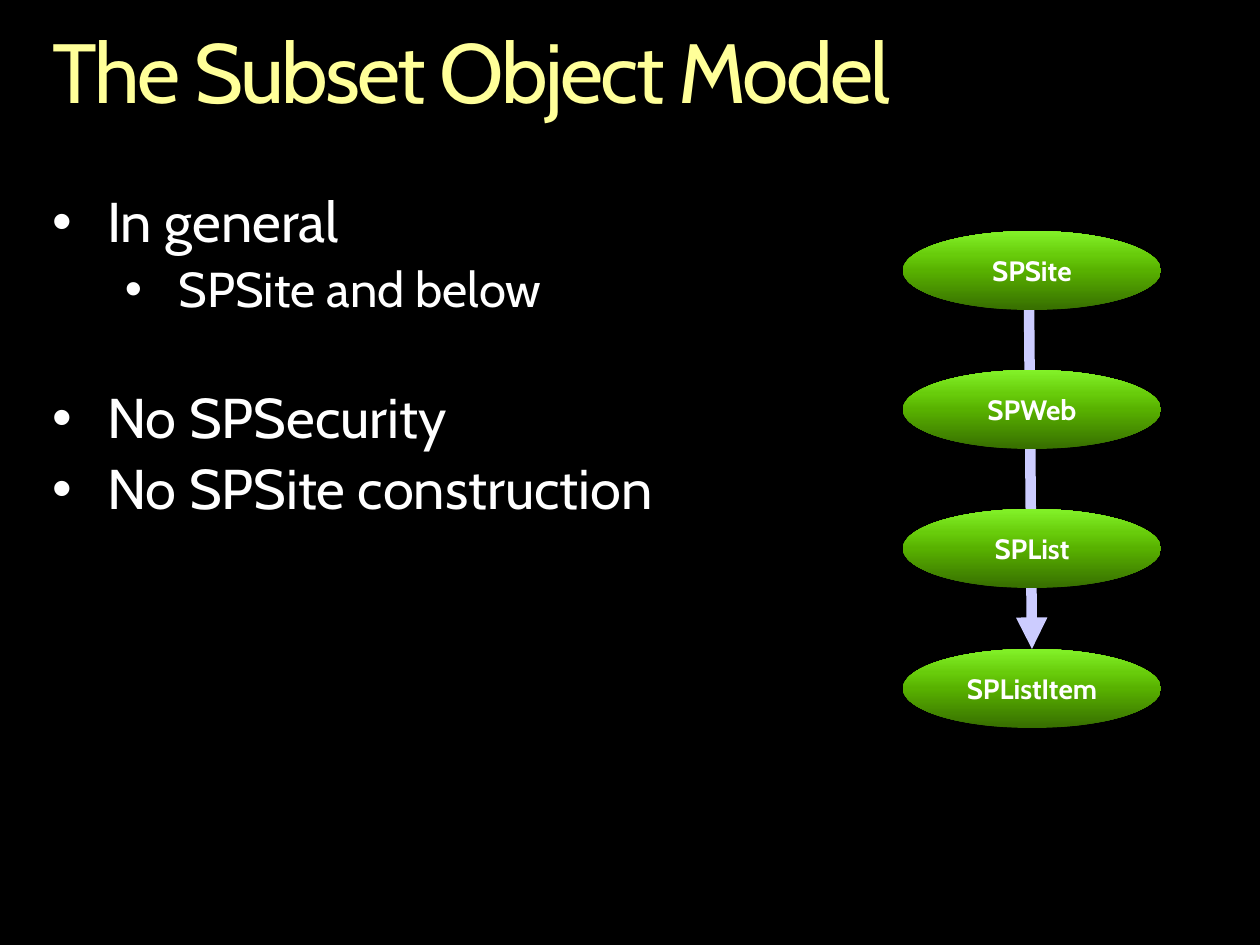
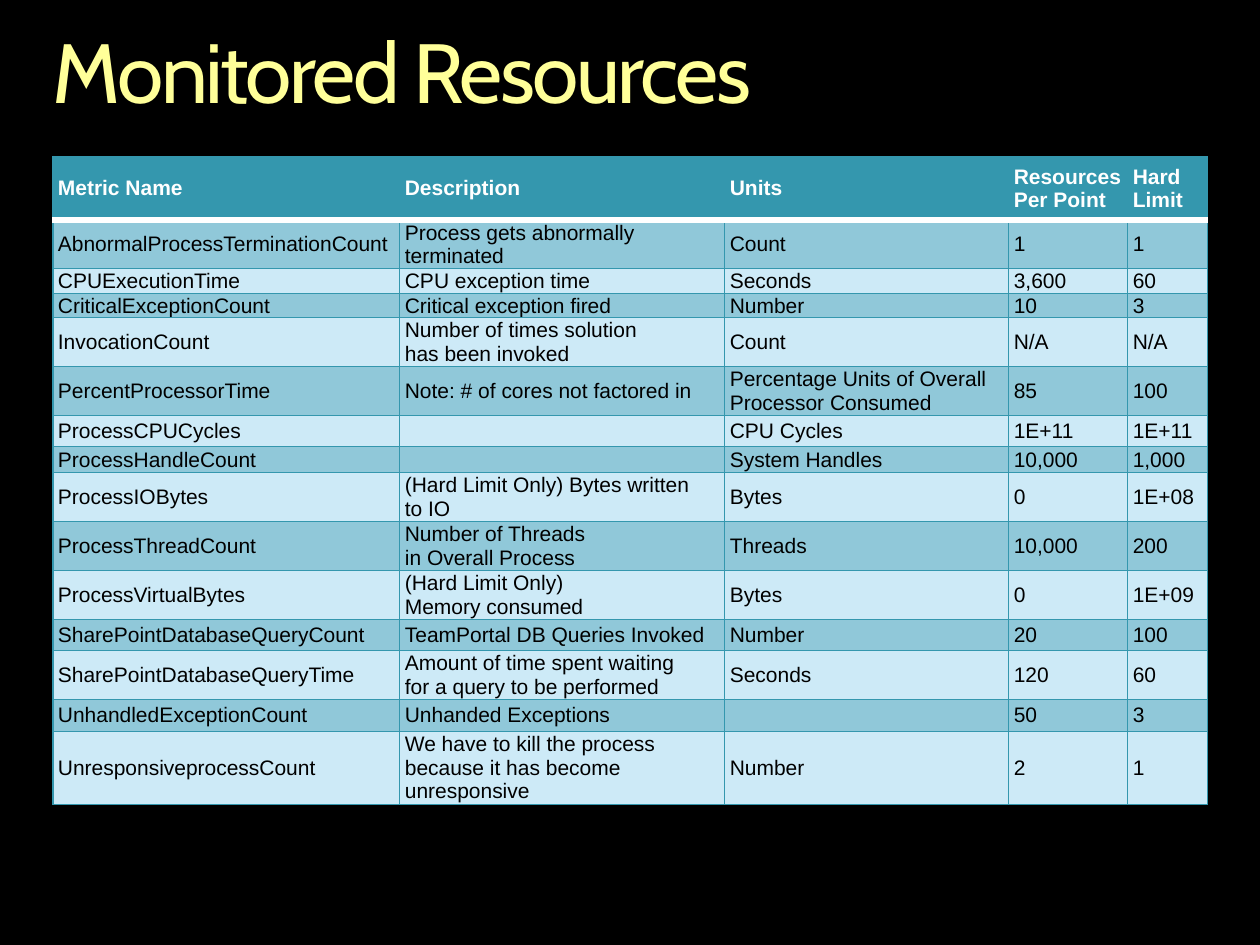
from lxml import etree
from pptx import Presentation
from pptx import util as u
from pptx.dml.color import RGBColor
from pptx.enum import shapes, text
from pptx.oxml.ns import qn

PX = 914400 // 126
COLORS = {
    "back": "000000", "title": "FFFF99", "white": "FFFFFF", "ink": "000000",
    "arrow": "CCCCFF", "teal": "3497AE", "dark": "90C8D9", "light": "CDEAF7",
}
GREENS = [(0, "376E00"), (50, "58B100"), (70, "68CC0B"), (100, "83F229")]
LEFT, WIDTH = 53, 1155

BULLETS = [  # level, words, space before in points
    (0, "In general", 0),
    (1, "SPSite and below", 6),
    (0, "No SPSecurity", 41),
    (0, "No SPSite construction", 6),
]
CLASSES = ["SPSite", "SPWeb", "SPList", "SPListItem"]

COLS = [347, 325, 284, 119, 80]
HEAD = (63, "Metric Name", "Description", "Units", "Resources Per Point", "Hard Limit")
METRICS = [  # row height, then the cells
    (49, "AbnormalProcessTerminationCount", "Process gets abnormally terminated", "Count", "1", "1"),
    (25, "CPUExecutionTime", "CPU exception time", "Seconds", "3,600", "60"),
    (24, "CriticalExceptionCount", "Critical exception fired", "Number", "10", "3"),
    (49, "InvocationCount", "Number of times solution\nhas been invoked", "Count", "N/A", "N/A"),
    (49, "PercentProcessorTime", "Note: # of cores not factored in",
     "Percentage Units of Overall Processor Consumed", "85", "100"),
    (31, "ProcessCPUCycles", "", "CPU Cycles", "1E+11", "1E+11"),
    (26, "ProcessHandleCount", "", "System Handles", "10,000", "1,000"),
    (49, "ProcessIOBytes", "(Hard Limit Only) Bytes written\nto IO", "Bytes", "0", "1E+08"),
    (49, "ProcessThreadCount", "Number of Threads\nin Overall Process", "Threads", "10,000", "200"),
    (49, "ProcessVirtualBytes", "(Hard Limit Only)\nMemory consumed", "Bytes", "0", "1E+09"),
    (31, "SharePointDatabaseQueryCount", "TeamPortal DB Queries Invoked", "Number", "20", "100"),
    (49, "SharePointDatabaseQueryTime",
     "Amount of time spent waiting\nfor a query to be performed", "Seconds", "120", "60"),
    (32, "UnhandledExceptionCount", "Unhanded Exceptions", "", "50", "3"),
    (73, "UnresponsiveprocessCount",
     "We have to kill the process because it has become unresponsive", "Number", "2", "1"),
]


def rgb(name):
    return RGBColor.from_string(COLORS[name])


def px(*nums):
    return [u.Emu(n * PX) for n in nums]


def sub(node, tag, **attrs):
    return etree.SubElement(node, qn(tag), **attrs)


class Deck:
    def __init__(self):
        self.prs = Presentation()
        self.prs.slide_width, self.prs.slide_height = px(1260, 945)
        fill = self.prs.slide_master.background.fill
        fill.solid()
        fill.fore_color.rgb = rgb("back")

    def page(self, words):
        """Start a slide with its title."""
        self.slide = self.prs.slides.add_slide(self.prs.slide_layouts[5])
        title = self.slide.shapes.title
        title.left, title.top, title.width, title.height = px(LEFT, 31, WIDTH, 92)
        para = self.frame(title).paragraphs[0]
        para.alignment = text.PP_ALIGN.LEFT
        para.line_spacing = 0.9
        run = self.run(para, words, 48, "title")
        run.font._element.set("spc", "-150")

    def frame(self, shape):
        frame = shape.text_frame
        frame.margin_left = frame.margin_right = 0
        frame.margin_top = frame.margin_bottom = 0
        frame.word_wrap = True
        frame.auto_size = text.MSO_AUTO_SIZE.NONE
        frame.vertical_anchor = text.MSO_ANCHOR.TOP
        return frame

    def run(self, para, words, size, color, bold=False, face="Cabin"):
        run = para.add_run()
        run.text = words
        font = run.font
        font.name, font.size, font.bold = face, u.Pt(size), bold
        font.color.rgb = rgb(color)
        return run

    def list(self, items, *box):
        frame = self.frame(self.slide.shapes.add_textbox(*px(*box)))
        for i, (level, words, gap) in enumerate(items):
            para = frame.add_paragraph() if i else frame.paragraphs[0]
            para.level = level
            para.line_spacing = 0.9
            para.space_before = u.Pt(gap)
            props = para._p.get_or_add_pPr()
            props.set("marL", str((126 if level else 54) * PX))
            props.set("indent", str(-54 * PX))
            sub(props, "a:buFont", typeface="Arial")
            sub(props, "a:buChar", char="•")
            self.run(para, words, 28 if level else 32, "white")

    def arrow(self, *ends):
        line = self.slide.shapes.add_connector(shapes.MSO_CONNECTOR.STRAIGHT, *px(*ends))
        line.line.color.rgb = rgb("arrow")
        line.line.width = u.Pt(6)
        sub(line.line._get_or_add_ln(), "a:tailEnd", type="triangle")
        sub(line._element.spPr, "a:effectLst")
        return line

    def oval(self, words, *box):
        oval = self.slide.shapes.add_shape(shapes.MSO_SHAPE.OVAL, *px(*box))
        oval.shadow.inherit = False
        oval.line.fill.background()
        oval.fill.gradient()
        oval.fill.gradient_angle = 90
        stops = oval._element.spPr.find(".//" + qn("a:gsLst"))
        for stop in list(stops):
            stops.remove(stop)
        for spot, color in GREENS:
            sub(sub(stops, "a:gs", pos=str(spot * 1000)), "a:srgbClr", val=color)
        frame = self.frame(oval)
        frame.word_wrap = False
        frame.vertical_anchor = text.MSO_ANCHOR.MIDDLE
        para = frame.paragraphs[0]
        para.alignment = text.PP_ALIGN.CENTER
        self.run(para, words, 16, "white", True)
        return oval

    def cell(self, cell, words, fill, color, bold, edges):
        """Fill one table cell; edges maps a side to its colour and points."""
        cell.margin_left = cell.margin_right = px(5)[0]
        cell.margin_top = cell.margin_bottom = 0
        cell.vertical_anchor = text.MSO_ANCHOR.MIDDLE
        props = cell._tc.get_or_add_tcPr()
        for side in "LRTB":
            tone, points = edges.get(side, ("teal", 0.75))
            line = sub(props, "a:ln" + side, w=str(u.Pt(points)))
            sub(sub(line, "a:solidFill"), "a:srgbClr", val=COLORS[tone])
        cell.fill.solid()
        cell.fill.fore_color.rgb = rgb(fill)
        para = cell.text_frame.paragraphs[0]
        if not words:
            sub(para._p, "a:endParaRPr", sz="1200")
            return
        for i, part in enumerate(words.split("\n")):
            if i:
                para.add_line_break()
            self.run(para, part, 12, color, bold, "Arial")

    def table(self, left, top, cols, rows):
        high = sum(row[0] for row in rows)
        table = self.slide.shapes.add_table(
            len(rows), len(cols), *px(left, top, sum(cols), high)).table
        for col, wide in zip(table.columns, cols):
            col.width = px(wide)[0]
        rule = ("white", 4.33)
        for r, (tall, *words) in enumerate(rows):
            table.rows[r].height = px(tall)[0]
            if r == 0:
                look = "teal", "white", True, {"B": rule}
            else:
                look = ("dark" if r % 2 else "light"), "ink", False, {"T": rule} if r == 1 else {}
            for c, word in enumerate(words):
                self.cell(table.cell(r, c), word, *look)


def main():
    deck = Deck()

    deck.page("The Subset Object Model")
    deck.list(BULLETS, LEFT, 194, WIDTH, 341)
    arrow = deck.arrow(1029, 294, 1032, 649)
    for i, name in enumerate(CLASSES):
        oval = deck.oval(name, 903, 231 + 418 * i // 3, 258, 79)
    arrow.end_connect(oval, 0)

    deck.page("Monitored Resources")
    deck.table(LEFT, 157, COLS, [HEAD] + METRICS)

    deck.prs.save("out.pptx")


if __name__ == "__main__":
    main()
